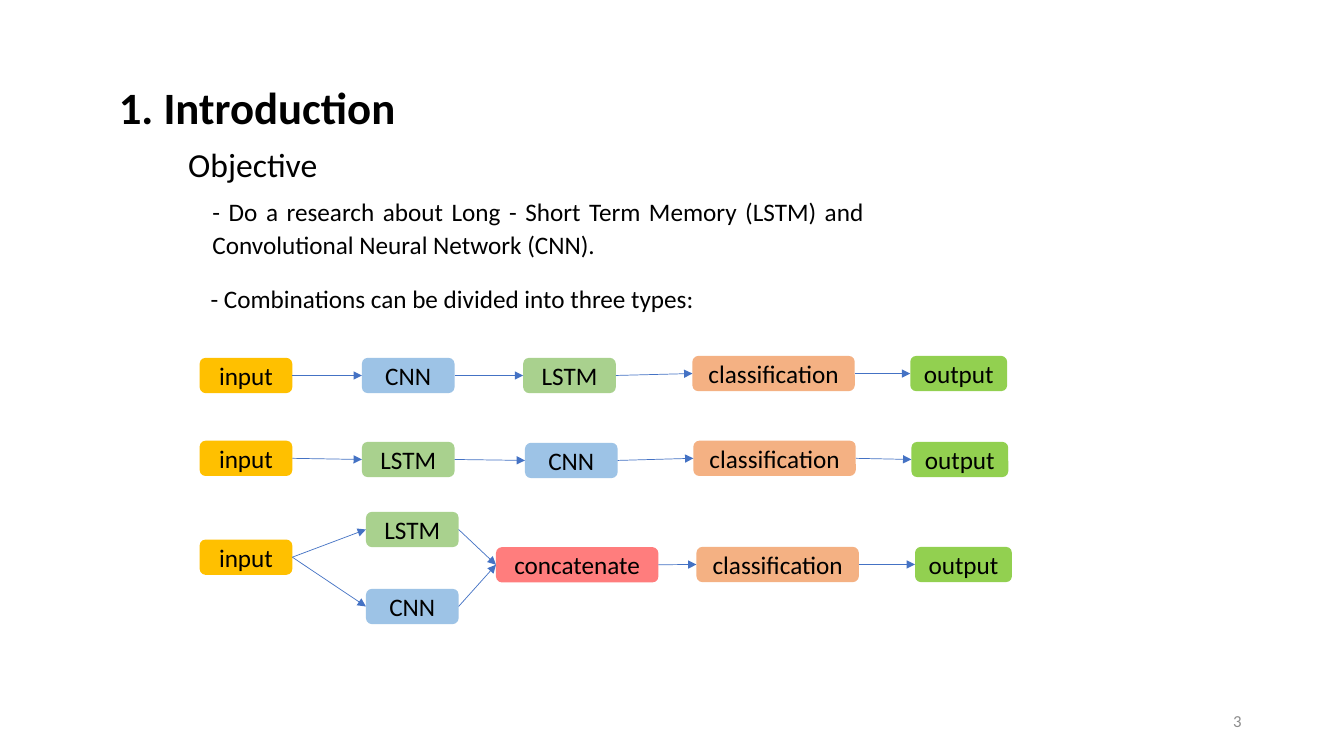
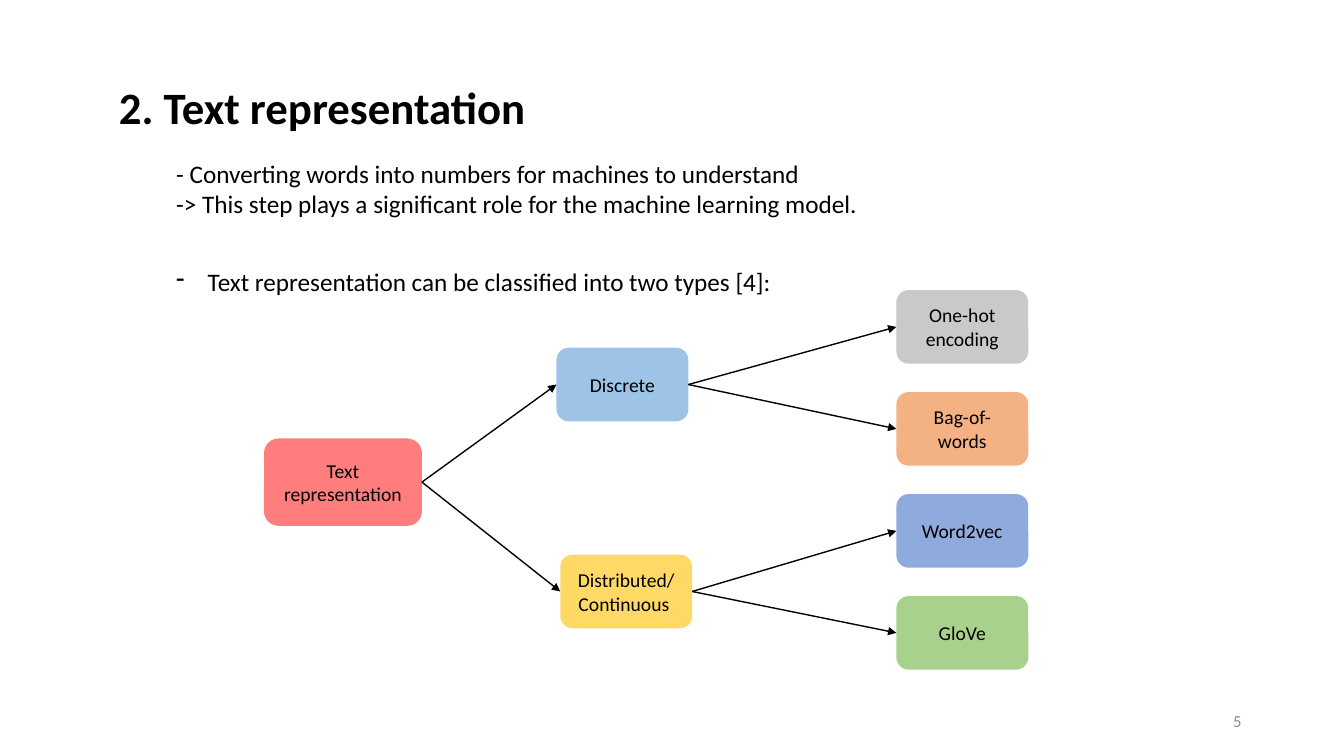
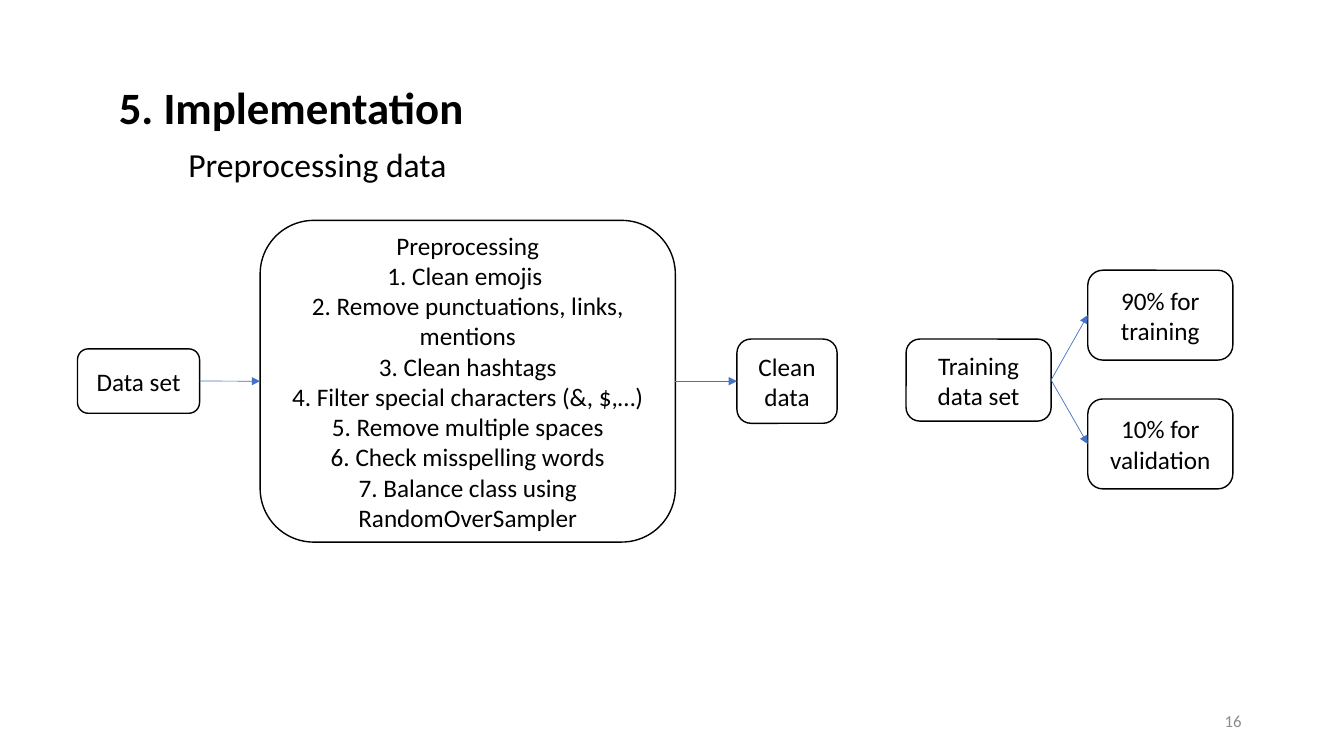
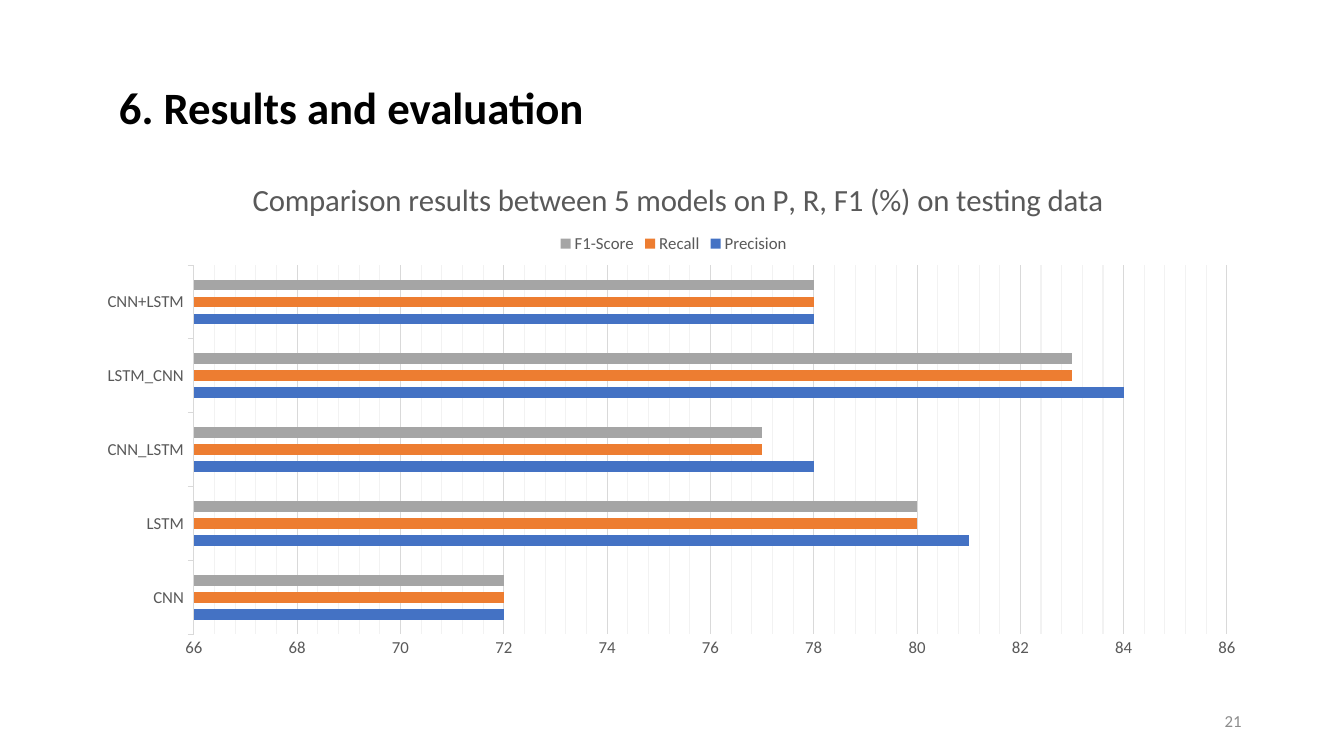
from dataclasses import dataclass
from itertools import pairwise

from lxml.etree import SubElement
from pptx import Presentation
from pptx.chart.data import CategoryChartData
from pptx.dml.color import RGBColor
from pptx.enum.chart import XL_CHART_TYPE as ChartType
from pptx.enum.chart import XL_LEGEND_POSITION as LegendPosition
from pptx.enum.chart import XL_TICK_MARK as TickMark
from pptx.enum.shapes import MSO_CONNECTOR as Connector
from pptx.enum.shapes import MSO_SHAPE as Shape
from pptx.enum.text import MSO_ANCHOR as Anchor
from pptx.enum.text import MSO_AUTO_SIZE as AutoSize
from pptx.enum.text import PP_ALIGN as Align
from pptx.oxml import parse_xml
from pptx.oxml.ns import nsdecls, qn
from pptx.slide import Slide
from pptx.text.text import Font, TextFrame
from pptx.util import Pt

FONT = "Calibri"
COLORS = {
    "black": "000000",
    "white": "FFFFFF",
    "gray_text": "595959",
    "page_number": "8C8C8C",
    "grid": "D9D9D9",
    "minor_grid": "F2F2F2",
    "arrow": "4472C4",
    "gold": "FFC000",
    "yellow": "FFD966",
    "sky": "9DC3E6",
    "periwinkle": "8FAADC",
    "sage": "A9D18E",
    "green": "92D050",
    "peach": "F4B183",
    "red": "FF7D7D",
    "silver": "C9C9C9",
    "precision": "4472C4",
    "recall": "ED7D31",
    "f1": "A5A5A5",
}
STAGES = {
    "input": ("gold", 66.2),
    "CNN": ("sky", 66.2),
    "LSTM": ("sage", 66.2),
    "concatenate": ("red", 116),
    "classification": ("peach", 116),
    "output": ("green", 69.2),
}
STAGE_HEIGHT = 25.2
CHART_WIDTH, CHART_HEIGHT = 839.5, 373
CATEGORIES = ("CNN", "LSTM", "CNN_LSTM", "LSTM_CNN", "CNN+LSTM")
SERIES = (
    ("Precision", "precision", (72, 81, 78, 84, 78)),
    ("Recall", "recall", (72, 80, 77, 83, 78)),
    ("F1-Score", "f1", (72, 80, 77, 83, 78)),
)


@dataclass(frozen=True)
class TextStyle:
    size: float
    color: str = "black"
    bold: bool = False
    align: Align | None = None
    line_spacing: float | None = None
    space_after: float | None = None


@dataclass(frozen=True)
class Box:
    text: str
    left: float
    top: float
    width: float
    height: float
    fill: str = "white"


@dataclass(frozen=True)
class DiagramStyle:
    text_size: float
    arrow_color: str = "arrow"
    arrow_width: float = 0.5
    outline: str | None = None


TITLE = TextStyle(32, bold=True)
SUBTITLE = TextStyle(24)
BODY = TextStyle(18)
JUSTIFIED = TextStyle(18, align=Align.JUSTIFY, line_spacing=1.07, space_after=8)
PAGE_NUMBER = TextStyle(12, "page_number", align=Align.RIGHT)


def rgb(name: str) -> RGBColor:
    return RGBColor.from_string(COLORS[name])


def style_font(font: Font, size: float, color: str, bold: bool = False) -> None:
    font.name = FONT
    font.size = Pt(size)
    font.bold = bold
    font.color.rgb = rgb(color)


def fill_text(frame: TextFrame, text: str, style: TextStyle) -> None:
    frame.text = text
    for paragraph in frame.paragraphs:
        paragraph.alignment = style.align
        paragraph.line_spacing = style.line_spacing
        if style.space_after is not None:
            paragraph.space_after = Pt(style.space_after)
        for run in paragraph.runs:
            style_font(run.font, style.size, style.color, style.bold)


def add_text(slide: Slide, box: Box, style: TextStyle, wrap: bool = True) -> TextFrame:
    shape = slide.shapes.add_textbox(Pt(box.left), Pt(box.top), Pt(box.width), Pt(box.height))
    frame = shape.text_frame
    frame.word_wrap = wrap
    fill_text(frame, box.text, style)
    return frame


def add_heading(slide: Slide, box: Box, style: TextStyle) -> None:
    frame = add_text(slide, box, style, wrap=False)
    frame.auto_size = AutoSize.SHAPE_TO_FIT_TEXT


def add_subtitle(slide: Slide, text: str, width: float) -> None:
    add_heading(slide, Box(text, 127.4, 99.4, width, 36), SUBTITLE)


def add_slide(presentation: Presentation, title: str, title_width: float, number: int) -> Slide:
    slide = presentation.slides.add_slide(presentation.slide_layouts[6])
    add_heading(slide, Box(title, 77.8, 53.3, title_width, 46), TITLE)
    frame = add_text(slide, Box(str(number), 678, 500.5, 216, 28.8), PAGE_NUMBER)
    frame.vertical_anchor = Anchor.MIDDLE
    return slide


def add_dash_bullet(frame: TextFrame, indent: float) -> None:
    properties = frame.paragraphs[0]._p.get_or_add_pPr()
    properties.set("marL", str(Pt(indent)))
    properties.set("indent", str(-Pt(indent)))
    SubElement(properties, qn("a:buChar")).set("char", "-")


def add_box(slide: Slide, box: Box, style: DiagramStyle):
    shape = slide.shapes.add_shape(
        Shape.ROUNDED_RECTANGLE, Pt(box.left), Pt(box.top), Pt(box.width), Pt(box.height)
    )
    shape.shadow.inherit = False
    shape.fill.solid()
    shape.fill.fore_color.rgb = rgb(box.fill)
    if style.outline:
        shape.line.color.rgb = rgb(style.outline)
        shape.line.width = Pt(1)
    else:
        shape.line.fill.background()
    frame = shape.text_frame
    frame.word_wrap = True
    frame.vertical_anchor = Anchor.MIDDLE
    fill_text(frame, box.text, TextStyle(style.text_size, align=Align.CENTER))
    return shape


def add_arrow(slide: Slide, source, target, style: DiagramStyle) -> None:
    connector = slide.shapes.add_connector(Connector.STRAIGHT, Pt(0), Pt(0), Pt(0), Pt(0))
    connector.begin_connect(source, 3)
    connector.end_connect(target, 1)
    connector.line.color.rgb = rgb(style.arrow_color)
    connector.line.width = Pt(style.arrow_width)
    SubElement(connector.line._get_or_add_ln(), qn("a:tailEnd")).set("type", "triangle")
    SubElement(connector._element.spPr, qn("a:effectLst"))


def add_diagram(
    slide: Slide, boxes: list[Box], links: list[tuple[int, int]], style: DiagramStyle
) -> None:
    shapes = [add_box(slide, box, style) for box in boxes]
    for source, target in links:
        add_arrow(slide, shapes[source], shapes[target], style)


def stage(name: str, left: float, top: float) -> Box:
    color, width = STAGES[name]
    return Box(name, left, top, width, STAGE_HEIGHT, color)


def build_introduction(presentation: Presentation) -> None:
    slide = add_slide(presentation, "1. Introduction", 213.8, 3)
    add_subtitle(slide, "Objective", 108)
    objective = (
        "- Do a research about Long - Short Term Memory (LSTM) and "
        "Convolutional Neural Network (CNN)."
    )
    add_text(slide, Box(objective, 144.7, 135.4, 479.5, 52.6), JUSTIFIED)
    combinations = "- Combinations can be divided into three types:"
    add_text(slide, Box(combinations, 143.3, 198.7, 409.7, 28.8), BODY)

    chain = list(pairwise(range(5)))
    flows = (
        (
            (
                ("input", 142.6, 255.6),
                ("CNN", 258.5, 255.6),
                ("LSTM", 373.7, 255.6),
                ("classification", 494.6, 254.2),
                ("output", 650.2, 254.2),
            ),
            chain,
        ),
        (
            (
                ("input", 142.6, 314.8),
                ("LSTM", 258.5, 315.6),
                ("CNN", 375, 316.3),
                ("classification", 495.3, 314.8),
                ("output", 651, 315.6),
            ),
            chain,
        ),
        (
            (
                ("input", 142.6, 385.4),
                ("LSTM", 261.4, 365.6),
                ("CNN", 261.4, 420.6),
                ("concatenate", 354.3, 390.8),
                ("classification", 497.5, 390.6),
                ("output", 653.6, 390.6),
            ),
            [(0, 1), (0, 2), (1, 3), (2, 3), (3, 4), (4, 5)],
        ),
    )
    for stages, links in flows:
        add_diagram(slide, [stage(*item) for item in stages], links, DiagramStyle(18))


def build_text_representation(presentation: Presentation) -> None:
    slide = add_slide(presentation, "2. Text representation", 308.2, 5)
    purpose = (
        "- Converting words into numbers for machines to understand\n"
        "-> This step plays a significant role for the machine learning model."
    )
    add_text(slide, Box(purpose, 118.8, 109.4, 522, 51), BODY)
    types = "Text representation can be classified into two types [4]:"
    frame = add_text(slide, Box(types, 118.8, 186.5, 522, 51), BODY)
    add_dash_bullet(frame, 22.5)

    width, height = 94.2, 52.6
    leaves = (
        ("One-hot encoding", "silver"),
        ("Bag-of-words", "peach"),
        ("Word2vec", "periwinkle"),
        ("GloVe", "sage"),
    )
    boxes = [
        Box("Text representation", 188.6, 313.2, 112.8, 62.4, "red"),
        Box("Discrete", 397.5, 248.4, width, height, "sky"),
        Box("Distributed/Continuous ", 400.2, 396.2, width, height, "yellow"),
    ]
    boxes += [
        Box(text, 640.3, 207.2 + 72.85 * index, width, height, color)
        for index, (text, color) in enumerate(leaves)
    ]
    links = [(0, 1), (0, 2), (1, 3), (1, 4), (2, 5), (2, 6)]
    add_diagram(slide, boxes, links, DiagramStyle(14, "black", 1))


def build_implementation(presentation: Presentation) -> None:
    slide = add_slide(presentation, "5. Implementation", 263.5, 16)
    add_subtitle(slide, "Preprocessing data", 200.9)
    steps = (
        "Preprocessing",
        "1. Clean emojis ",
        "2. Remove punctuations, links, mentions",
        "3. Clean hashtags",
        "4. Filter special characters (&, $,…)",
        "5. Remove multiple spaces",
        "6. Check misspelling words",
        "7. Balance class using RandomOverSampler",
    )
    boxes = [
        Box("Data set", 55.4, 249.2, 87.2, 46),
        Box("\n".join(steps), 185.8, 157.4, 296.6, 229.8),
        Box("Clean data", 526.4, 242.2, 71.6, 60.2),
        Box("Training data set", 647.2, 242.2, 103.6, 58.6),
        Box("90% for training", 777, 193, 103.6, 64.2),
        Box("10% for validation", 777, 285, 103.6, 64.2),
    ]
    links = [(0, 1), (1, 2), (3, 4), (3, 5)]
    add_diagram(slide, boxes, links, DiagramStyle(18, outline="black"))


def place(element, position: int, left: float, top: float, extra: str = "", target: str = "") -> None:
    for layout in element.findall(qn("c:layout")):
        element.remove(layout)
    layout = parse_xml(
        f"<c:layout {nsdecls('c')}><c:manualLayout>{target}"
        '<c:xMode val="edge"/><c:yMode val="edge"/>'
        f'<c:x val="{left / CHART_WIDTH}"/><c:y val="{top / CHART_HEIGHT}"/>{extra}'
        "</c:manualLayout></c:layout>"
    )
    element.insert(position, layout)


def place_plot(plot_area, left: float, top: float, width: float, height: float) -> None:
    size = f'<c:w val="{width / CHART_WIDTH}"/><c:h val="{height / CHART_HEIGHT}"/>'
    place(plot_area, 0, left, top, size, '<c:layoutTarget val="inner"/>')


def add_minor_gridlines(axis, color: str, width: float) -> None:
    axis.has_minor_gridlines = True
    gridlines = axis._element.find(qn("c:minorGridlines"))
    gridlines.append(
        parse_xml(
            f'<c:spPr {nsdecls("c", "a")}><a:ln w="{Pt(width)}"><a:solidFill>'
            f'<a:srgbClr val="{COLORS[color]}"/></a:solidFill></a:ln></c:spPr>'
        )
    )


def build_results(presentation: Presentation) -> None:
    slide = add_slide(presentation, "6. Results and evaluation", 350, 21)
    data = CategoryChartData()
    data.categories = CATEGORIES
    for name, _, values in SERIES:
        data.add_series(name, values)
    chart = slide.shapes.add_chart(
        ChartType.BAR_CLUSTERED, Pt(60.5), Pt(105.1), Pt(CHART_WIDTH), Pt(CHART_HEIGHT), data
    ).chart
    style_font(chart.font, 10, "black")

    chart.has_title = True
    title = "Comparison results between 5 models on P, R, F1 (%) on testing data"
    fill_text(chart.chart_title.text_frame, title, TextStyle(22, "gray_text"))
    chart.has_legend = True
    chart.legend.position = LegendPosition.TOP
    chart.legend.include_in_layout = False
    style_font(chart.legend.font, 12, "gray_text")

    plot = chart.plots[0]
    plot.vary_by_categories = False
    plot.gap_width = 269
    plot.overlap = -58
    for series, (_, color, _) in zip(plot.series, SERIES):
        series.format.fill.solid()
        series.format.fill.fore_color.rgb = rgb(color)

    category_axis, value_axis = chart.category_axis, chart.value_axis
    for axis in (category_axis, value_axis):
        style_font(axis.tick_labels.font, 12, "gray_text")
        axis.minor_tick_mark = TickMark.NONE
    category_axis.major_tick_mark = TickMark.OUTSIDE
    value_axis.major_tick_mark = TickMark.NONE
    value_axis.format.line.fill.background()
    value_axis.minimum_scale, value_axis.maximum_scale = 66, 86
    value_axis.major_unit, value_axis.minor_unit = 2, 0.4
    value_axis.has_major_gridlines = True
    for line in (category_axis.format.line, value_axis.major_gridlines.format.line):
        line.color.rgb = rgb("grid")
        line.width = Pt(0.75)
    add_minor_gridlines(value_axis, "minor_grid", 0.75)

    place(chart.chart_title._element, 1, 116, 18.5)
    place(chart.legend._element, 1, 336, 59)
    place_plot(chart._chartSpace.chart.plotArea, 78, 84.3, 738, 263.7)


def main() -> None:
    presentation = Presentation()
    presentation.slide_width = Pt(960)
    presentation.slide_height = Pt(540)
    build_introduction(presentation)
    build_text_representation(presentation)
    build_implementation(presentation)
    build_results(presentation)
    presentation.save("out.pptx")


if __name__ == "__main__":
    main()
